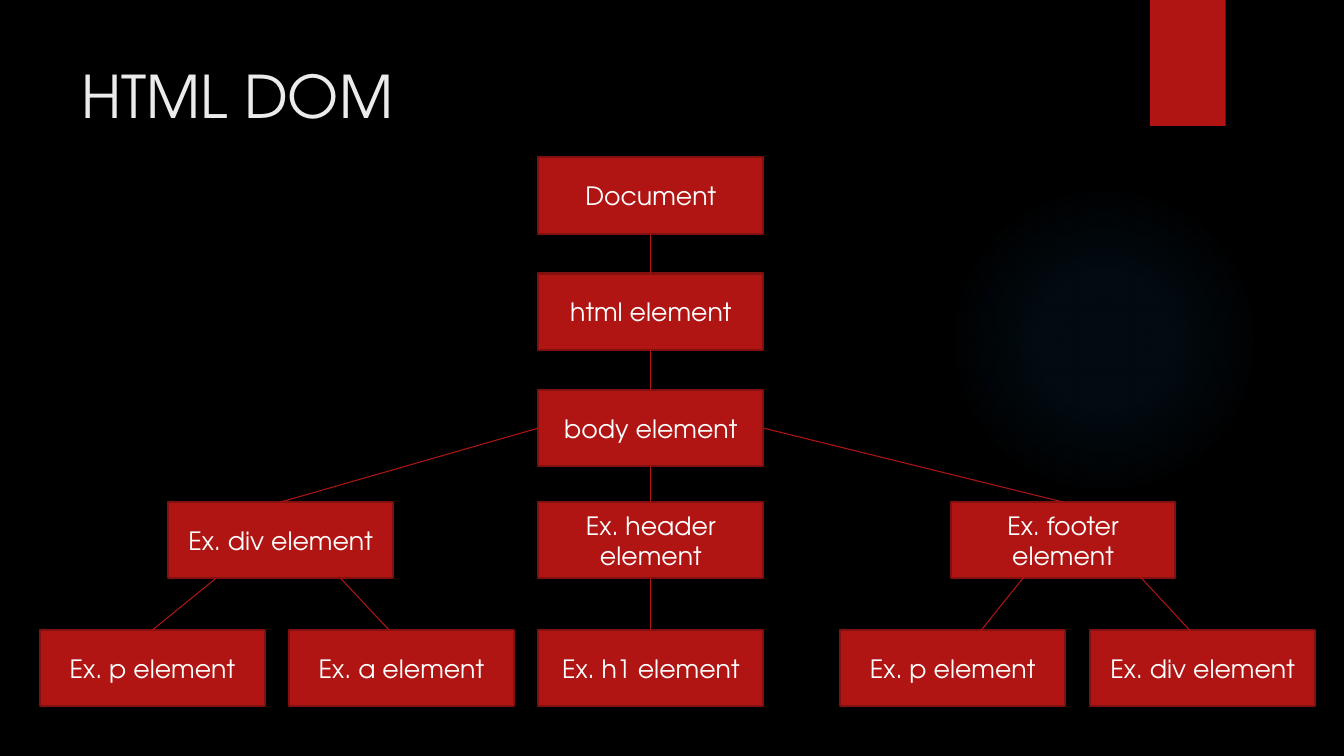
"""Build a slide that shows the HTML DOM as a tree of boxes."""
import lxml.etree
import pptx
import pptx.dml.color
import pptx.enum.shapes
import pptx.enum.text
import pptx.oxml
import pptx.oxml.ns
import pptx.util

Pt = pptx.util.Pt
SHAPE = pptx.enum.shapes.MSO_SHAPE
TEXT = pptx.enum.text
SPACE = 'xmlns:a="http://schemas.openxmlformats.org/drawingml/2006/main"'
TOP, LEFT, BOTTOM, RIGHT = range(4)


def color(code):
    return pptx.dml.color.RGBColor.from_string(code)


def assign(item, values):
    for name, value in values.items():
        setattr(item, name, value)


class Deck:
    red, edge, white, pale = "B01513", "82100E", "FFFFFF", "EBEBEB"
    face = "TeX Gyre Adventor"
    wide, high = 160.6, 54.6

    def __init__(self, wide, high):
        self.deck = pptx.Presentation()
        assign(self.deck, {"slide_width": Pt(wide), "slide_height": Pt(high)})
        self.slide = self.deck.slides.add_slide(self.deck.slide_layouts[5])
        self.paint(self.slide.background, "000000")

    def paint(self, item, code):
        item.fill.solid()
        item.fill.fore_color.rgb = color(code)

    def label(self, shape, text, size, code, align):
        frame = shape.text_frame
        frame.text = text
        assign(frame, {"word_wrap": True, "auto_size": TEXT.MSO_AUTO_SIZE.NONE,
                       "vertical_anchor": TEXT.MSO_ANCHOR.MIDDLE})
        line = frame.paragraphs[0]
        line.alignment = align
        font = line.runs[0].font
        assign(font, {"name": self.face, "size": Pt(size)})
        font.color.rgb = color(code)

    def title(self, text, left, top, wide, high):
        shape = self.slide.shapes.title
        assign(shape, {"left": Pt(left), "top": Pt(top), "width": Pt(wide), "height": Pt(high)})
        self.label(shape, text, 42, self.pale, TEXT.PP_ALIGN.LEFT)

    def shape(self, kind, left, top, wide, high):
        shape = self.slide.shapes.add_shape(kind, Pt(left), Pt(top), Pt(wide), Pt(high))
        shape.shadow.inherit = False
        self.paint(shape, self.red)
        shape.line.fill.background()
        return shape

    def glow(self, left, top, size):
        shape = self.shape(SHAPE.OVAL, left, top, size, size)
        stops = "".join(
            f'<a:gs pos="{place * 1000}"><a:srgbClr val="1C95F2">'
            f'<a:alpha val="{alpha * 1000}"/></a:srgbClr></a:gs>'
            for place, alpha in ((0, 7), (36, 6), (69, 0)))
        fill = pptx.oxml.parse_xml(
            f'<a:gradFill {SPACE}><a:gsLst>{stops}</a:gsLst><a:path path="circle">'
            '<a:fillToRect l="50000" t="50000" r="50000" b="50000"/></a:path></a:gradFill>')
        props = shape.element.spPr
        props.replace(props.find(pptx.oxml.ns.qn("a:solidFill")), fill)

    def tab(self, left, top, wide, high):
        shape = self.shape(SHAPE.RECTANGLE, left, top, wide, high)
        shade = pptx.oxml.parse_xml(
            f'<a:outerShdw {SPACE} blurRad="{Pt(3)}" dist="{Pt(2)}" dir="5400000" rotWithShape="0">'
            '<a:srgbClr val="000000"><a:alpha val="45000"/></a:srgbClr></a:outerShdw>')
        shape.element.spPr.find(pptx.oxml.ns.qn("a:effectLst")).append(shade)

    def box(self, text, left, top):
        shape = self.shape(SHAPE.RECTANGLE, left, top, self.wide, self.high)
        shape.line.color.rgb = color(self.edge)
        shape.line.width = Pt(1.5)
        self.label(shape, text, 18, self.white, TEXT.PP_ALIGN.CENTER)
        return shape

    def line(self, *ends):
        line = self.slide.shapes.add_connector(
            pptx.enum.shapes.MSO_CONNECTOR.STRAIGHT, *map(Pt, ends))
        line.line.color.rgb = color(self.red)
        line.line.width = Pt(0.75)
        lxml.etree.SubElement(line.element.spPr, pptx.oxml.ns.qn("a:effectLst"))
        return line

    def link(self, start, side, end):
        line = self.line(0, 0, 0, 0)
        line.begin_connect(start, side)
        line.end_connect(end, TOP)


def main():
    deck = Deck(960, 540)
    deck.glow(677.5, 131.8, 221.8)
    deck.tab(821.5, 0, 54, 90)
    deck.title("HTML DOM", 51, 36, 741, 64)

    trunk = [deck.box(text, 384.6, 112.3 + 83.1 * row)
             for row, text in enumerate(("Document", "html element", "body element"))]
    body = trunk[-1]
    div, head, foot = [deck.box(f"Ex. {tag} element", left, 358.6) for tag, left in
                       (("div", 120.2), ("header", 384.6), ("footer", 679))]
    leaves = [deck.box(f"Ex. {tag} element", left, 450) for tag, left in
              (("p", 28.6), ("a", 206.5), ("h1", 384.6), ("p", 600.2), ("div", 778.8))]

    for start, end in zip(trunk, trunk[1:]):
        deck.link(start, BOTTOM, end)
    for start, side, end in ((body, BOTTOM, head), (head, BOTTOM, leaves[2]),
                             (body, RIGHT, foot), (body, LEFT, div)):
        deck.link(start, side, end)
    deck.line(154.1, 413.2, 0, 0).end_connect(leaves[0], TOP)
    for ends in ((243.4, 413.2, 277.9, 450), (732.2, 411.1, 688.3, 465.8),
                 (813.6, 411.1, 859, 460.1)):
        deck.line(*ends)
    deck.deck.save("out.pptx")


if __name__ == "__main__":
    main()
